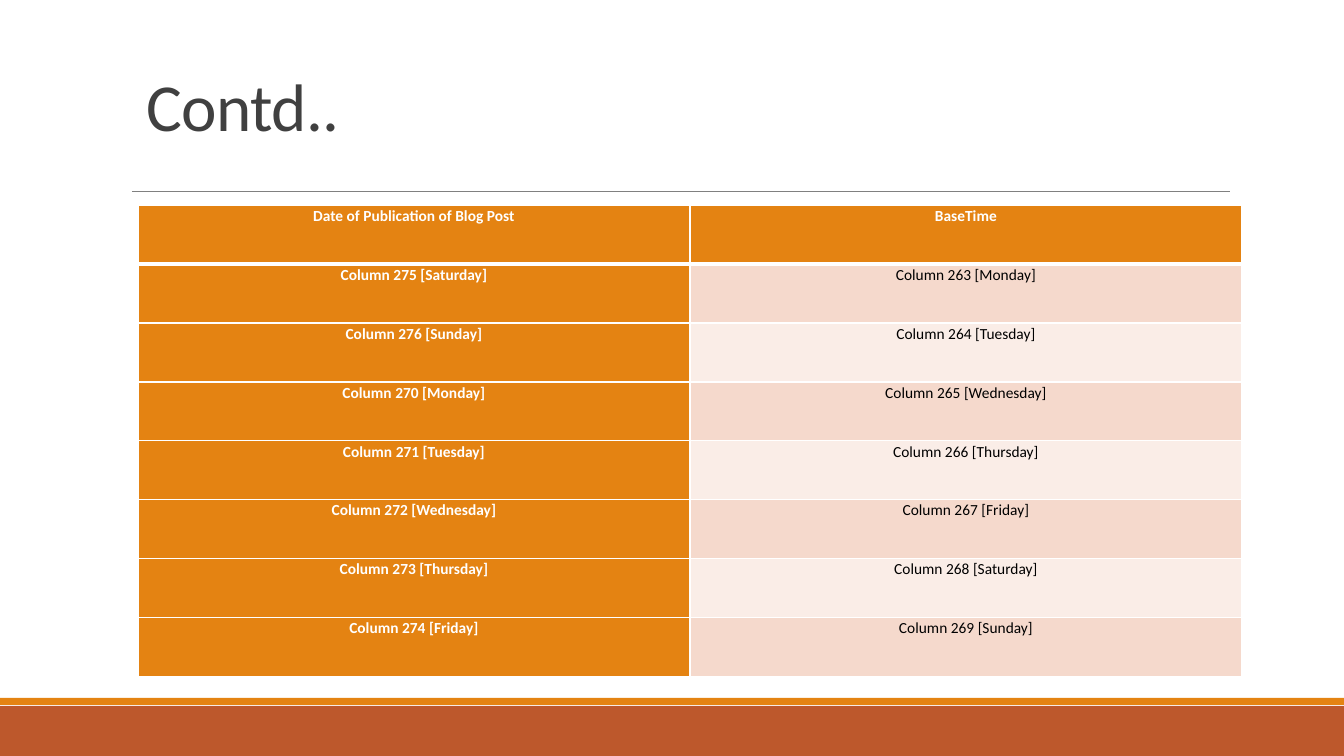
import dataclasses

import lxml.etree
import pptx
import pptx.dml.color
import pptx.enum.shapes
import pptx.enum.text
import pptx.oxml.ns
import pptx.util

EMU_PER_PX = 914400 / 100.8


@dataclasses.dataclass(frozen=True)
class Theme:
    font: str = "Calibri"
    title_size: int = 48
    cell_size: int = 11
    title: str = "404040"
    rule: str = "808080"
    accent: str = "E48312"
    footer: str = "BD582C"
    light: str = "FFFFFF"
    dark: str = "000000"
    bands: tuple[str, str] = ("F5D9CC", "FAEDE7")


@dataclasses.dataclass(frozen=True)
class Bar:
    top: int
    height: int
    colour: str


@dataclasses.dataclass(frozen=True)
class DayRow:
    publication: str
    base_time: str


THEME = Theme()
PAGE_WIDTH, PAGE_HEIGHT = 1344, 756
TABLE_LEFT, TABLE_TOP = 138, 205
COLUMN_WIDTH, ROW_HEIGHT = 552, 59
CELL_MARGIN = 7

FOOTER_BARS = [Bar(706, 50, THEME.footer), Bar(698, 7, THEME.accent)]
ROWS = [
    DayRow("Date of Publication of Blog Post", "BaseTime"),
    DayRow("Column 275 [Saturday]", "Column 263 [Monday]"),
    DayRow("Column 276 [Sunday]", "Column 264 [Tuesday]"),
    DayRow("Column 270 [Monday]", "Column 265 [Wednesday]"),
    DayRow("Column 271 [Tuesday]", "Column 266 [Thursday]"),
    DayRow("Column 272 [Wednesday]", "Column 267 [Friday]"),
    DayRow("Column 273 [Thursday]", "Column 268 [Saturday]"),
    DayRow("Column 274 [Friday]", "Column 269 [Sunday]"),
]


def px(length: int) -> pptx.util.Emu:
    return pptx.util.Emu(round(length * EMU_PER_PX))


def rgb(colour: str) -> pptx.dml.color.RGBColor:
    return pptx.dml.color.RGBColor.from_string(colour)


def style_span(span, size: int, colour: str, bold: bool = False) -> None:
    span.font.name = THEME.font
    span.font.size = pptx.util.Pt(size)
    span.font.bold = bold
    span.font.color.rgb = rgb(colour)


def add_bar(page, bar: Bar) -> None:
    shape = page.shapes.add_shape(
        pptx.enum.shapes.MSO_SHAPE.RECTANGLE,
        px(0), px(bar.top), px(PAGE_WIDTH), px(bar.height),
    )
    shape.shadow.inherit = False
    shape.fill.solid()
    shape.fill.fore_color.rgb = rgb(bar.colour)
    shape.line.fill.background()


def add_rule(page) -> None:
    rule = page.shapes.add_connector(
        pptx.enum.shapes.MSO_CONNECTOR.STRAIGHT, px(132), px(191), px(1230), px(191)
    )
    rule.line.color.rgb = rgb(THEME.rule)
    rule.line.width = pptx.util.Pt(0.5)
    lxml.etree.SubElement(rule._element.spPr, pptx.oxml.ns.qn("a:effectLst"))


def add_title(page, text: str) -> None:
    box = page.shapes.add_textbox(px(137), px(65), px(1109), px(85))
    frame = box.text_frame
    frame.word_wrap = True
    frame.vertical_anchor = pptx.enum.text.MSO_ANCHOR.BOTTOM
    frame.text = text
    para = frame.paragraphs[0]
    para.line_spacing = 0.85
    span = para.runs[0]
    style_span(span, THEME.title_size, THEME.title)
    span.font._element.set("spc", "-50")


def add_border(cell, side: str, points: int) -> None:
    qn = pptx.oxml.ns.qn
    line = lxml.etree.SubElement(
        cell._tc.get_or_add_tcPr(), qn(f"a:ln{side}"), w=str(pptx.util.Pt(points))
    )
    fill = lxml.etree.SubElement(line, qn("a:solidFill"))
    lxml.etree.SubElement(fill, qn("a:srgbClr"), val=THEME.light)


def fill_cell(cell, text: str, row: int, column: int) -> None:
    heading = row == 0 or column == 0
    cell.margin_left = cell.margin_right = px(CELL_MARGIN)
    cell.margin_top = cell.margin_bottom = 0
    for side in "LRTB":
        under_header = (side == "B" and row == 0) or (side == "T" and row == 1)
        add_border(cell, side, 3 if under_header else 1)
    cell.fill.solid()
    cell.fill.fore_color.rgb = rgb(THEME.accent if heading else THEME.bands[(row - 1) % 2])
    cell.text_frame.text = text
    para = cell.text_frame.paragraphs[0]
    para.alignment = pptx.enum.text.PP_ALIGN.CENTER
    para.line_spacing = 1.07
    style_span(para.runs[0], THEME.cell_size, THEME.light if heading else THEME.dark, heading)


def add_day_table(page, rows: list[DayRow]) -> None:
    table = page.shapes.add_table(
        len(rows), 2, px(TABLE_LEFT), px(TABLE_TOP),
        px(2 * COLUMN_WIDTH), px(len(rows) * ROW_HEIGHT),
    ).table
    for column in table.columns:
        column.width = px(COLUMN_WIDTH)
    for row, day in enumerate(rows):
        table.rows[row].height = px(ROW_HEIGHT)
        for column, text in enumerate(dataclasses.astuple(day)):
            fill_cell(table.cell(row, column), text, row, column)


def main() -> None:
    deck = pptx.Presentation()
    deck.slide_width, deck.slide_height = px(PAGE_WIDTH), px(PAGE_HEIGHT)
    page = deck.slides.add_slide(deck.slide_layouts[6])
    for bar in FOOTER_BARS:
        add_bar(page, bar)
    add_rule(page)
    add_title(page, "Contd..")
    add_day_table(page, ROWS)
    deck.save("out.pptx")


if __name__ == "__main__":
    main()
